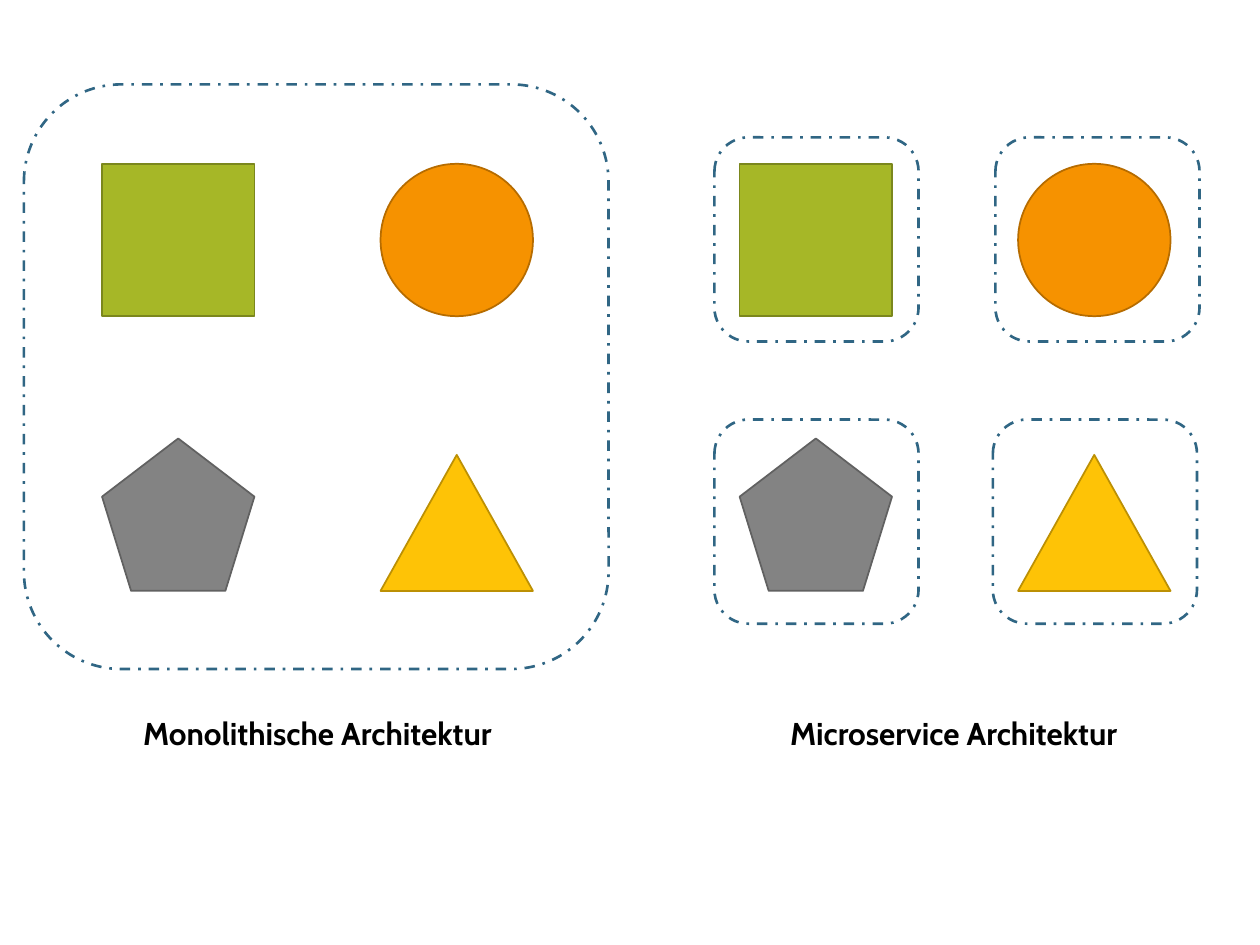
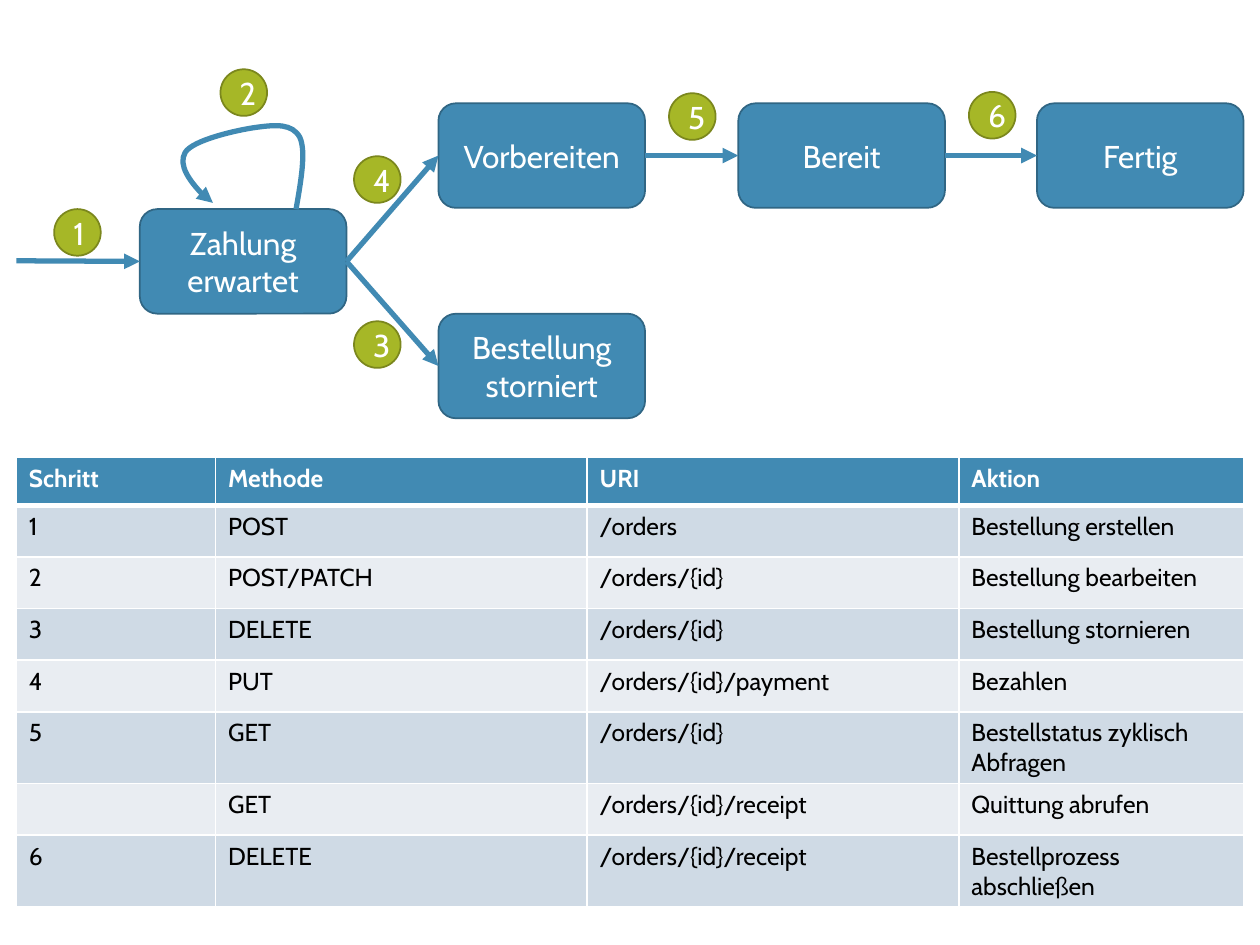
from lxml import etree
from pptx import Presentation
from pptx.dml.color import RGBColor
from pptx.enum import dml, shapes, text
from pptx.oxml import ns
from pptx.util import Pt

PX = 9144
FONT = "Cabin"
BLUE, DARK_BLUE = "418AB3", "306684"
GREEN, DARK_GREEN = "A6B727", "7B871D"
WHITE, BLACK = "FFFFFF", "000000"
BANDS = ["CFDAE5", "E9EDF2"]
KIND = shapes.MSO_SHAPE
LEFT, RIGHT = 1, 3

SERVICES = [
    (KIND.RECTANGLE, 81, 130, 121, GREEN, DARK_GREEN),
    (KIND.OVAL, 302, 130, 121, "F69200", "B66C00"),
    (KIND.ISOSCELES_TRIANGLE, 302, 361, 108, "FEC306", "BC9004"),
    (KIND.REGULAR_PENTAGON, 81, 348, 121, "838383", "616161"),
]
STATES = [
    ("Zahlung erwartet", 111, 166),
    ("Bestellung storniert", 348, 249),
    ("Vorbereiten", 348, 82),
    ("Bereit", 586, 82),
    ("Fertig", 823, 82),
]
TRANSITIONS = [
    ("Zahlung erwartet", "Vorbereiten"),
    ("Zahlung erwartet", "Bestellung storniert"),
    ("Vorbereiten", "Bereit"),
    ("Bereit", "Fertig"),
]
STEPS = [("1", 43, 166), ("2", 175, 55), ("4", 281, 124),
         ("3", 281, 255), ("5", 531, 74), ("6", 769, 73)]
EDIT_LOOP = [(235, 166), (239, 143), (243, 120), (238, 109),
             (232, 98), (219, 99), (204, 101),
             (189, 103), (153, 111), (147, 121),
             (141, 131), (158, 155), (169, 161)]
COLUMNS = [158, 295, 295, 226]
ROW_HEIGHTS = [38, 41, 41, 41, 41, 57, 41, 57]
API_CALLS = [
    ("Schritt", "Methode", "URI", "Aktion"),
    ("1", "POST", "/orders", "Bestellung erstellen"),
    ("2", "POST/PATCH", "/orders/{id}", "Bestellung bearbeiten"),
    ("3", "DELETE", "/orders/{id}", "Bestellung stornieren"),
    ("4", "PUT", "/orders/{id}/payment", "Bezahlen"),
    ("5", "GET", "/orders/{id}", "Bestellstatus zyklisch Abfragen"),
    ("", "GET", "/orders/{id}/receipt", "Quittung abrufen"),
    ("6", "DELETE", "/orders/{id}/receipt", "Bestellprozess abschließen"),
]


def px(*lengths):
    return [length * PX for length in lengths]


def rgb(value):
    return RGBColor.from_string(value)


def write(frame, words, size, color, bold=False, align=None):
    paragraph = frame.paragraphs[0]
    paragraph.text = words
    if align is not None:
        paragraph.alignment = align
    formats = {"name": FONT, "size": Pt(size), "bold": bold}
    for key, value in formats.items():
        setattr(paragraph.font, key, value)
    paragraph.font.color.rgb = rgb(color)


def write_centred(frame, words, color, bold=False):
    formats = {"word_wrap": True, "vertical_anchor": text.MSO_ANCHOR.MIDDLE}
    for key, value in formats.items():
        setattr(frame, key, value)
    write(frame, words, 18, color, bold, text.PP_ALIGN.CENTER)


def draw_line(line, color, width):
    line.color.rgb = rgb(color)
    line.width = Pt(width)


def add_figure(group, kind, box, fill, outline, words=""):
    figure = group.shapes.add_shape(kind, *px(*box))
    figure.shadow.inherit = False
    figure.fill.solid()
    figure.fill.fore_color.rgb = rgb(fill)
    draw_line(figure.line, outline, 1)
    if words:
        write_centred(figure.text_frame, words, WHITE)
    return figure


def add_boundary(group, left, top, side):
    boundary = group.shapes.add_shape(KIND.ROUNDED_RECTANGLE, *px(left, top, side, side))
    boundary.shadow.inherit = False
    boundary.fill.background()
    draw_line(boundary.line, DARK_BLUE, 1.5)
    boundary.line.dash_style = dml.MSO_LINE.DASH_DOT


def add_architecture(slide, caption, caption_left, shift, boundaries):
    group = slide.shapes.add_group_shape()
    for kind, left, top, height, fill, outline in SERVICES:
        add_figure(group, kind, (left + shift, top, 121, height), fill, outline)
    for boundary in boundaries:
        add_boundary(group, *boundary)
    label = group.shapes.add_textbox(*px(caption_left, 531, 424, 102))
    write_centred(label.text_frame, caption, BLACK, True)


def style_arrow(arrow):
    draw_line(arrow.line, BLUE, 3)
    properties = arrow.element.spPr
    etree.SubElement(properties.find(ns.qn("a:ln")), ns.qn("a:tailEnd"), type="triangle")
    if properties.find(ns.qn("a:effectLst")) is None:
        etree.SubElement(properties, ns.qn("a:effectLst"))


def add_arrow(group, target, source=None, start=(0, 0)):
    arrow = group.shapes.add_connector(shapes.MSO_CONNECTOR.STRAIGHT, *px(*start, *start))
    if source is not None:
        arrow.begin_connect(source, RIGHT)
    arrow.end_connect(target, LEFT)
    style_arrow(arrow)


def add_curved_arrow(group, points):
    builder = group.shapes.build_freeform(*points[0], scale=PX)
    builder.add_line_segments(points[1:], close=False)
    curve = builder.convert_to_shape()
    segments = list(curve.element.iter(ns.qn("a:lnTo")))
    for first in range(0, len(segments), 3):
        outline = segments[first].getparent()
        bezier = etree.SubElement(outline, ns.qn("a:cubicBezTo"))
        for segment in segments[first:first + 3]:
            bezier.append(segment[0])
            outline.remove(segment)
    curve.fill.background()
    style_arrow(curve)


def add_borders(cell, widths):
    properties = cell._tc.get_or_add_tcPr()
    for side, width in widths.items():
        border = etree.SubElement(properties, ns.qn(f"a:ln{side}"), w=str(Pt(width)))
        fill = etree.SubElement(border, ns.qn("a:solidFill"))
        etree.SubElement(fill, ns.qn("a:srgbClr"), val=WHITE)


def add_call_table(slide):
    box = px(13, 363, sum(COLUMNS), sum(ROW_HEIGHTS))
    table = slide.shapes.add_table(len(API_CALLS), len(COLUMNS), *box).table
    for column, width in zip(table.columns, px(*COLUMNS)):
        column.width = width
    for row, height in zip(table.rows, px(*ROW_HEIGHTS)):
        row.height = height
    for index, call in enumerate(API_CALLS):
        header = index == 0
        widths = {"L": 1, "R": 1, "T": 3 if index == 1 else 1, "B": 3 if header else 1}
        for cell, words in zip(table.rows[index].cells, call):
            add_borders(cell, widths)
            cell.fill.solid()
            cell.fill.fore_color.rgb = rgb(BLUE if header else BANDS[(index - 1) % 2])
            write(cell.text_frame, words, 14, WHITE if header else BLACK, header)


def add_architecture_slide(slide):
    add_architecture(slide, "Monolithische Architektur", 40, 0, [(19, 67, 464)])
    add_architecture(slide, "Microservice Architektur", 545, 506, [
        (567, 109, 162), (790, 109, 162), (567, 333, 162), (788, 333, 162)])


def add_order_slide(slide):
    group = slide.shapes.add_group_shape()
    states = {
        name: add_figure(group, KIND.ROUNDED_RECTANGLE, (left, top, 164, 83),
                         BLUE, DARK_BLUE, name)
        for name, left, top in STATES
    }
    add_arrow(group, states["Zahlung erwartet"], start=(13, 207))
    for source, target in TRANSITIONS:
        add_arrow(group, states[target], states[source])
    add_curved_arrow(group, EDIT_LOOP)
    for number, left, top in STEPS:
        add_figure(group, KIND.OVAL, (left, top, 37, 37), GREEN, DARK_GREEN, number)
    add_call_table(slide)


def main():
    deck = Presentation()
    deck.slide_width, deck.slide_height = px(1000, 750)
    for fill_slide in (add_architecture_slide, add_order_slide):
        fill_slide(deck.slides.add_slide(deck.slide_layouts[6]))
    deck.save("out.pptx")


if __name__ == "__main__":
    main()
